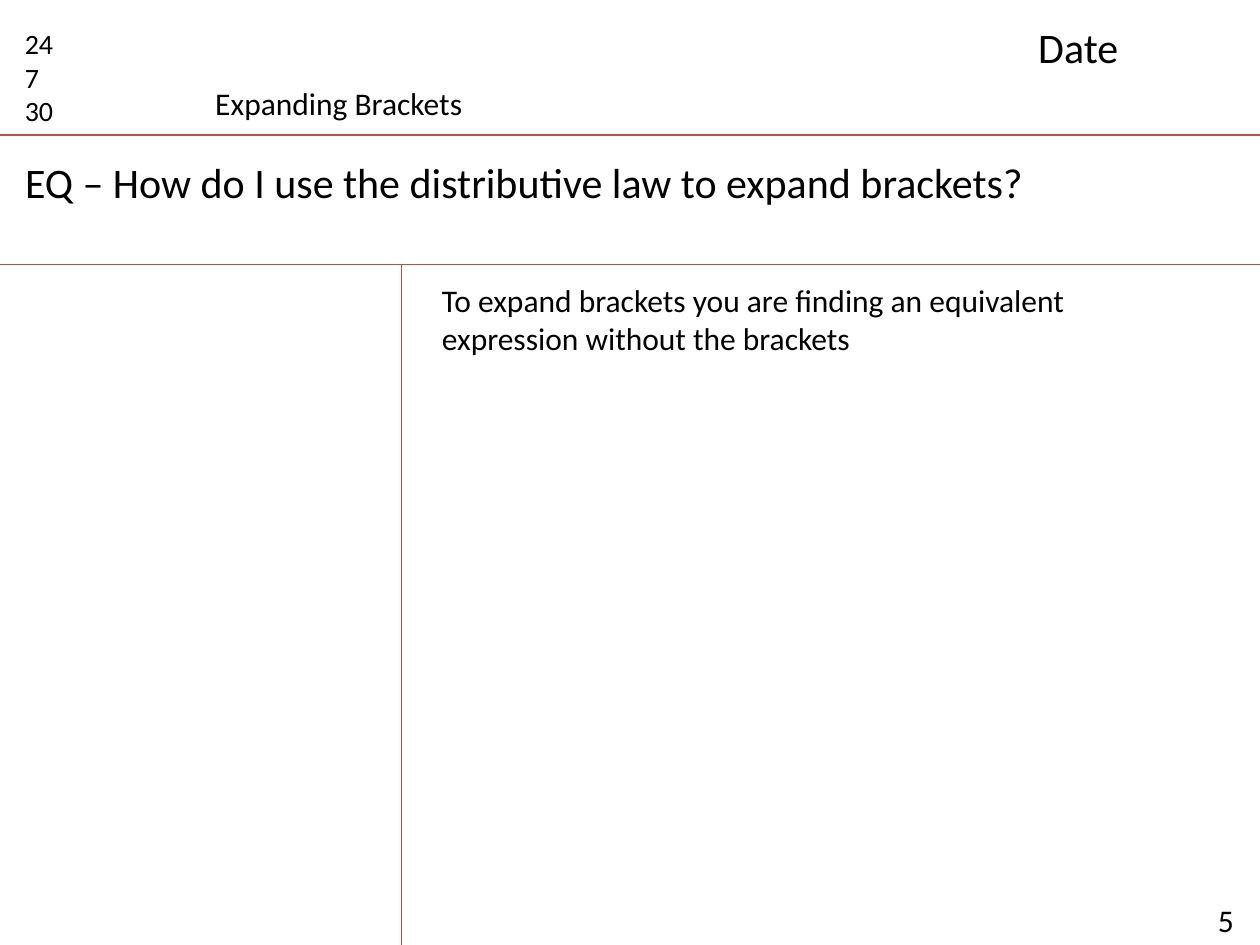
import pptx
import pptx.util
import pptx.dml.color
import pptx.enum.shapes
import pptx.enum.text
import pptx.oxml.ns
import lxml.etree

Cm = pptx.util.Cm
WIDE, HIGH = 25.4, 19.05
TOP, LOW, SPLIT = 2.72, 5.33, 8.1
HUES = {"text": "000000", "rule": "BF4C48"}

TITLE = ("EQ – How do I use the distributive law to expand brackets?",
         (0.25, 3.02, 22.6, 1.27), 24)
NOTES = [
    ("5", (24.3, 18.03, 1.1, 1.02), 18),
    ("24\n7\n30", (0.25, 0.41, 1.6, 2.31), 16),
    ("Date", (20.68, 0.3, 4.4, 1.27), 24),
    ("Expanding Brackets", (4.09, 1.57, 5.54, 1.02), 18),
    ("To expand brackets you are finding an equivalent expression "
     "without the brackets", (8.66, 5.54, 15.6, 1.8), 18),
]
RULES = [
    (0, TOP, WIDE, TOP),
    (0, LOW, WIDE, LOW),
    (SPLIT, LOW, SPLIT, HIGH),
]


def tint(name):
    return pptx.dml.color.RGBColor.from_string(HUES[name])


def write(shape, text, size=18, font="Calibri", hue="text", wrap=True):
    frame = shape.text_frame
    frame.text = text
    frame.word_wrap = wrap
    frame.auto_size = pptx.enum.text.MSO_AUTO_SIZE.NONE
    frame.vertical_anchor = pptx.enum.text.MSO_ANCHOR.TOP
    for para in frame.paragraphs:
        para.alignment = pptx.enum.text.PP_ALIGN.LEFT
        para.font.size = pptx.util.Pt(size)
        para.font.name = font
        para.font.color.rgb = tint(hue)


def rule(slide, ends):
    line = slide.shapes.add_connector(
        pptx.enum.shapes.MSO_CONNECTOR.STRAIGHT, *map(Cm, ends))
    line.line.color.rgb = tint("rule")
    line.line.width = pptx.util.Pt(0.75)
    props = line.element.spPr
    lxml.etree.SubElement(props, pptx.oxml.ns.qn("a:effectLst"))


def main():
    deck = pptx.Presentation()
    deck.slide_width, deck.slide_height = Cm(WIDE), Cm(HIGH)
    slide = deck.slides.add_slide(deck.slide_layouts[5])

    text, place, size = TITLE
    head = slide.shapes.title
    head.left, head.top, head.width, head.height = map(Cm, place)
    write(head, text, size=size)

    for ends in RULES:
        rule(slide, ends)
    for text, place, size in NOTES:
        box = slide.shapes.add_textbox(*map(Cm, place))
        write(box, text, size=size, wrap=text != "Expanding Brackets")

    deck.save("out.pptx")


if __name__ == "__main__":
    main()
